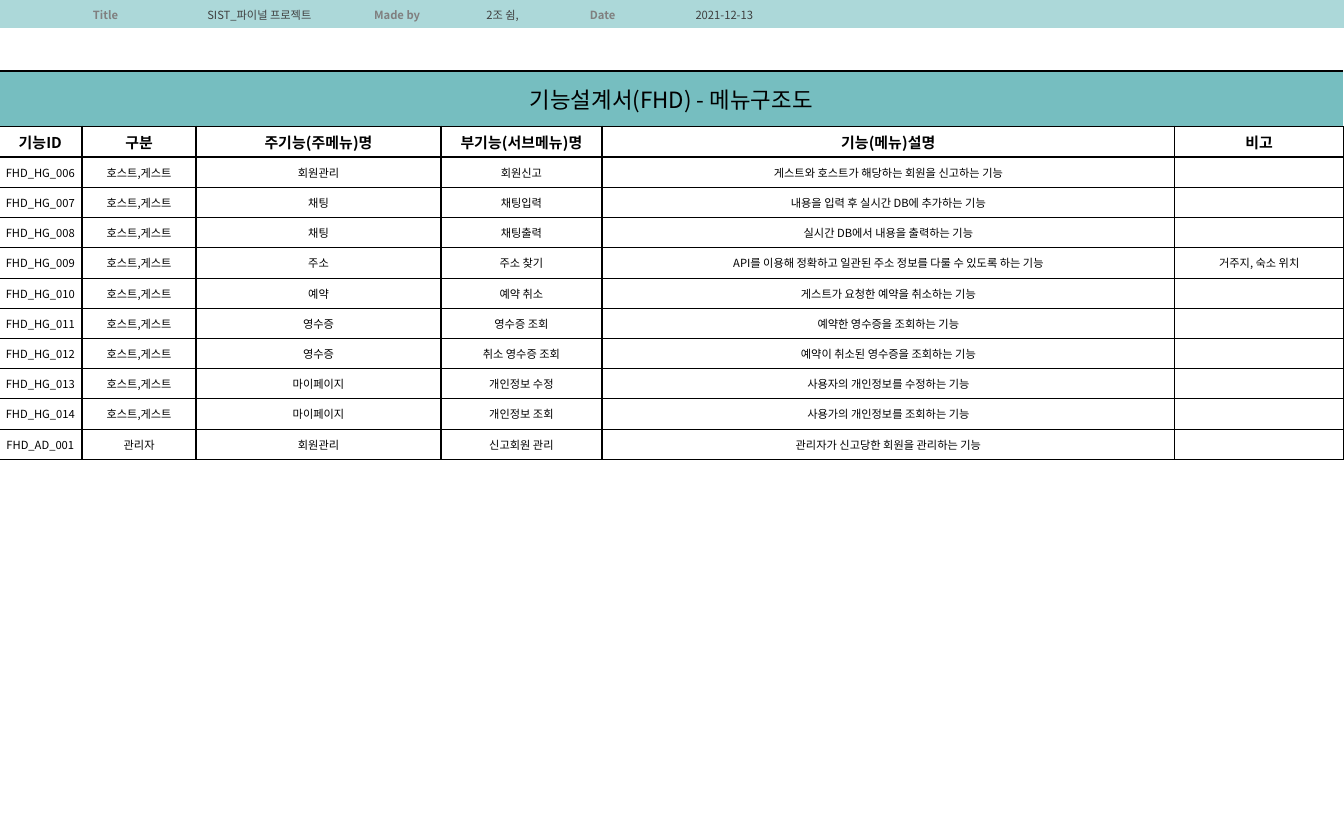
from lxml import etree
from pptx import Presentation
from pptx import util as u
from pptx.dml.color import RGBColor
from pptx.enum import text
from pptx.oxml.ns import qn

FONT = "Noto Sans CJK KR"
NO_STYLE = "{2D5ABB26-0587-4C30-8999-92F81FD0307C}"
BLACK, WHITE, GRAY, DARK = "000000", "FFFFFF", "808080", "404040"
PALE, TEAL = "ACD8D9", "76BEC0"

INFO = ["", "Title", "SIST_파이널 프로젝트", "Made by", "2조 쉼,", "Date", "2021-12-13", ""]
INFO_COLS = [0.35, 0.87, 1.42, 0.63, 0.94, 0.55, 1.26, 3.98]
INFO_ROWS = [0.21, 5.66]

TITLE = "기능설계서(FHD) - 메뉴구조도"
HEADERS = ["기능ID", "구분", "주기능(주메뉴)명", "부기능(서브메뉴)명", "기능(메뉴)설명", "비고"]
BOTH = "호스트,게스트"
FEATURES = [
    ("FHD_HG_006", BOTH, "회원관리", "회원신고", "게스트와 호스트가 해당하는 회원을 신고하는 기능", ""),
    ("FHD_HG_007", BOTH, "채팅", "채팅입력", "내용을 입력 후 실시간 DB에 추가하는 기능", ""),
    ("FHD_HG_008", BOTH, "채팅", "채팅출력", "실시간 DB에서 내용을 출력하는 기능", ""),
    ("FHD_HG_009", BOTH, "주소", "주소 찾기",
     "API를 이용해 정확하고 일관된 주소 정보를 다룰 수 있도록 하는 기능", "거주지, 숙소 위치"),
    ("FHD_HG_010", BOTH, "예약", "예약 취소", "게스트가 요청한 예약을 취소하는 기능", ""),
    ("FHD_HG_011", BOTH, "영수증", "영수증 조회", "예약한 영수증을 조회하는 기능", ""),
    ("FHD_HG_012", BOTH, "영수증", "취소 영수증 조회", "예약이 취소된 영수증을 조회하는 기능", ""),
    ("FHD_HG_013", BOTH, "마이페이지", "개인정보 수정", "사용자의 개인정보를 수정하는 기능", ""),
    ("FHD_HG_014", BOTH, "마이페이지", "개인정보 조회", "사용가의 개인정보를 조회하는 기능", ""),
    ("FHD_AD_001", "관리자", "회원관리", "신고회원 관리", "관리자가 신고당한 회원을 관리하는 기능", ""),
]
FEATURE_COLS = [0.62, 0.85, 1.82, 1.2, 4.26, 1.26]
FEATURE_ROWS = [0.41, 0.23] + [0.225] * len(FEATURES)


def rgb(color):
    return RGBColor.from_string(color)


def add_table(slide, left, top, cols, rows):
    """Add an unstyled table with the given column widths and row heights."""
    frame = slide.shapes.add_table(len(rows), len(cols), u.Inches(left), u.Inches(top),
                                   u.Inches(sum(cols)), u.Inches(sum(rows)))
    tbl = frame.table
    tbl.first_row = tbl.horz_banding = False
    tbl._tbl.tblPr.find(qn("a:tableStyleId")).text = NO_STYLE
    for col, width in zip(tbl.columns, cols):
        col.width = u.Inches(width)
    for row, height in zip(tbl.rows, rows):
        row.height = u.Inches(height)
    return tbl


def fill_cell(cell, content, size, color=BLACK, bold=False, fill=None, inset=0):
    cell.margin_left = cell.margin_right = u.Inches(inset)
    cell.margin_top = cell.margin_bottom = u.Inches(inset)
    cell.vertical_anchor = text.MSO_ANCHOR.MIDDLE
    if fill:
        cell.fill.solid()
        cell.fill.fore_color.rgb = rgb(fill)
    else:
        cell.fill.background()
    p = cell.text_frame.paragraphs[0]
    p.alignment = text.PP_ALIGN.CENTER
    p.font.size, p.font.bold, p.font.name = u.Pt(size), bold, FONT
    p.font.color.rgb = rgb(color)
    defaults = p._p.pPr.find(qn("a:defRPr"))
    etree.SubElement(defaults, qn("a:ea"), typeface=FONT)
    if content:
        p.add_run().text = content
    else:  # an empty paragraph takes its height from its end mark
        etree.SubElement(p._p, qn("a:endParaRPr"), sz=str(size * 100))


def set_borders(cell, top, bottom, right_color=BLACK):
    """Draw the four cell borders; top and bottom are widths in points."""
    tcPr = cell._tc.get_or_add_tcPr()
    sides = [("L", 1, BLACK), ("R", 1, right_color), ("T", top, BLACK), ("B", bottom, BLACK)]
    for i, (side, width, color) in enumerate(sides):
        ln = etree.Element(qn(f"a:ln{side}"), w=str(u.Pt(width)))
        solid = etree.SubElement(ln, qn("a:solidFill"))
        etree.SubElement(solid, qn("a:srgbClr"), val=color)
        tcPr.insert(i, ln)


def add_info_table(slide):
    tbl = add_table(slide, 0, 0, INFO_COLS, INFO_ROWS)
    for c, content in enumerate(INFO):
        label = c % 2 == 1
        fill_cell(tbl.cell(0, c), content, 6, GRAY if label else DARK, label, PALE, 0.04)
    tbl.cell(1, 0).merge(tbl.cell(1, len(INFO) - 1))


def add_feature_table(slide):
    tbl = add_table(slide, -0.01, 0.53, FEATURE_COLS, FEATURE_ROWS)
    last_col, last_row = len(FEATURE_COLS) - 1, len(FEATURE_ROWS) - 1
    tbl.cell(0, 0).merge(tbl.cell(0, last_col))
    fill_cell(tbl.cell(0, 0), TITLE, 12, fill=TEAL)
    for c in range(last_col + 1):
        set_borders(tbl.cell(0, c), 1, 1, WHITE if c in (0, last_col) else BLACK)
    for r, row in enumerate([HEADERS] + FEATURES, start=1):
        header = r == 1
        for c, content in enumerate(row):
            cell = tbl.cell(r, c)
            fill_cell(cell, content, 8 if header else 6, bold=header)
            set_borders(cell, 1 if r <= 2 else 0.5, 1 if r in (1, last_row) else 0.5)


def main():
    prs = Presentation()
    prs.slide_width, prs.slide_height = u.Inches(10), u.Inches(6.25)
    s = prs.slides.add_slide(prs.slide_layouts[6])
    add_info_table(s)
    add_feature_table(s)
    prs.save("out.pptx")


if __name__ == "__main__":
    main()
